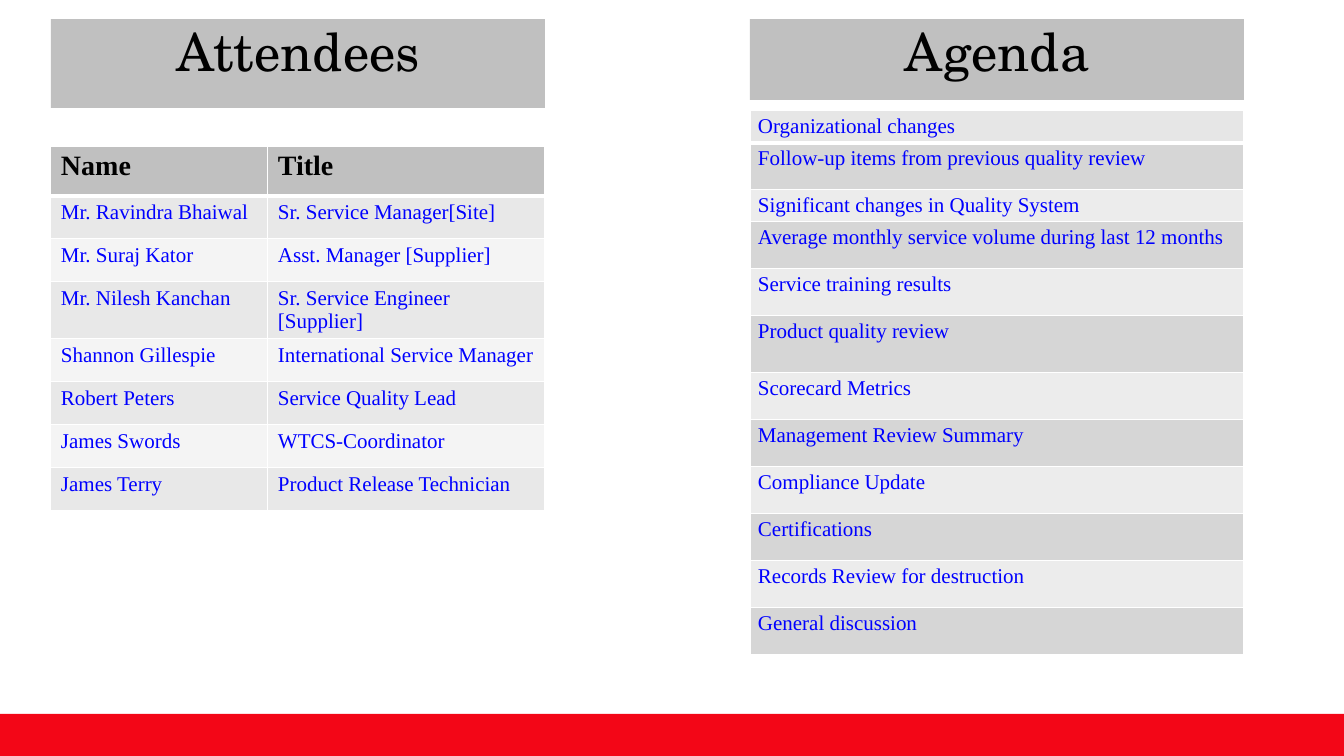
from dataclasses import dataclass

from lxml import etree
from pptx import Presentation
from pptx import util as u
from pptx.dml.color import RGBColor
from pptx.enum import shapes, text
from pptx.oxml import ns


@dataclass(frozen=True)
class Theme:
    band: str = "F30617"
    heading: str = "C0C0C0"
    ink: str = "000000"
    entry: str = "0000FF"
    rule: str = "FFFFFF"
    attendee_rows: tuple = ("E8E8E8", "F4F4F4")
    agenda_first: str = "E6E6E6"
    agenda_rows: tuple = ("D6D6D6", "ECECEC")
    title_font: str = "TeX Gyre Schola"
    body_font: str = "Times New Roman"
    title_size: int = 45
    header_size: int = 24
    entry_size: int = 18
    thin: int = 1
    thick: int = 3


theme = Theme()
PX = u.Inches(1) / 84

prs = Presentation()
prs.slide_width, prs.slide_height = round(1344 * PX), round(756 * PX)
slide = prs.slides.add_slide(prs.slide_layouts[6])


def add_block(left, top, width, height, color):
    block = slide.shapes.add_shape(
        shapes.MSO_SHAPE.RECTANGLE, *(round(n * PX) for n in (left, top, width, height)))
    block.shadow.inherit = False
    block.fill.solid()
    block.fill.fore_color.rgb = RGBColor.from_string(color)
    block.line.fill.background()
    return block


def add_grid(left, top, widths, heights, rows, fills, inset, header=False):
    """Add a table with white rules, the one below its first row thicker."""
    box = (left, top, sum(widths), sum(heights))
    grid = slide.shapes.add_table(
        len(rows), len(widths), *(round(n * PX) for n in box)).table
    grid.first_row = grid.horz_banding = False
    for column, width in zip(grid.columns, widths):
        column.width = round(width * PX)
    for r, (row, height, entries) in enumerate(zip(grid.rows, heights, rows)):
        row.height = round(height * PX)
        is_header = header and r == 0
        for cell, entry in zip(row.cells, entries):
            cell.margin_left = cell.margin_right = round(inset[0] * PX)
            cell.margin_top = cell.margin_bottom = round(inset[1] * PX)
            properties = cell._tc.get_or_add_tcPr()
            for side in ("lnL", "lnR", "lnT", "lnB"):
                thick = (r, side) in ((0, "lnB"), (1, "lnT"))
                line = etree.SubElement(
                    properties, ns.qn(f"a:{side}"),
                    w=str(u.Pt(theme.thick if thick else theme.thin)))
                solid = etree.SubElement(line, ns.qn("a:solidFill"))
                etree.SubElement(solid, ns.qn("a:srgbClr"), val=theme.rule)
            cell.fill.solid()
            cell.fill.fore_color.rgb = RGBColor.from_string(fills[r])
            cell.text = entry
            font = cell.text_frame.paragraphs[0].font
            font.name = theme.body_font
            font.bold = is_header
            font.size = u.Pt(theme.header_size if is_header else theme.entry_size)
            font.color.rgb = RGBColor.from_string(theme.ink if is_header else theme.entry)


add_block(0, 714, 1344, 42, theme.band)

ATTENDEES_LEFT, AGENDA_LEFT, PANEL_WIDTH = 51, 750, 494
for title, left, height in (("Attendees", ATTENDEES_LEFT, 89), ("Agenda", AGENDA_LEFT, 81)):
    frame = add_block(left, 19, PANEL_WIDTH, height, theme.heading).text_frame
    frame.margin_left = frame.margin_right = frame.margin_top = frame.margin_bottom = 0
    frame.vertical_anchor = text.MSO_ANCHOR.TOP
    frame.text = title
    heading = frame.paragraphs[0]
    heading.alignment = text.PP_ALIGN.CENTER
    heading.font.name = theme.title_font
    heading.font.size = u.Pt(theme.title_size)
    heading.font.color.rgb = RGBColor.from_string(theme.ink)

attendees = [
    ("Name", "Title"),
    ("Mr. Ravindra Bhaiwal", "Sr. Service Manager[Site]"),
    ("Mr. Suraj Kator", "Asst. Manager [Supplier]"),
    ("Mr. Nilesh Kanchan", "Sr. Service Engineer [Supplier]"),
    ("Shannon Gillespie", "International Service Manager"),
    ("Robert Peters", "Service Quality Lead"),
    ("James Swords", "WTCS-Coordinator"),
    ("James Terry", "Product Release Technician"),
]
attendee_fills = [theme.heading] + [theme.attendee_rows[i % 2] for i in range(len(attendees) - 1)]
attendee_heights = [50, 43, 43, 57, 43, 43, 43, 43]
add_grid(ATTENDEES_LEFT, 146, (217, 277), attendee_heights, attendees,
         attendee_fills, inset=(10, 5), header=True)

agenda = [
    ("Organizational changes", 32),
    ("Follow-up items from previous quality review", 47),
    ("Significant changes in Quality System", 32),
    ("Average monthly service volume during last 12 months", 47),
    ("Service training results", 47),
    ("Product quality review", 57),
    ("Scorecard Metrics", 47),
    ("Management Review Summary", 47),
    ("Compliance Update", 47),
    ("Certifications", 47),
    ("Records Review for destruction", 47),
    ("General discussion", 47),
]
agenda_fills = [theme.agenda_first] + [theme.agenda_rows[i % 2] for i in range(len(agenda) - 1)]
add_grid(AGENDA_LEFT, 111, (PANEL_WIDTH,), [height for _, height in agenda],
         [(topic,) for topic, _ in agenda], agenda_fills, inset=(8, 4))

prs.save("out.pptx")
